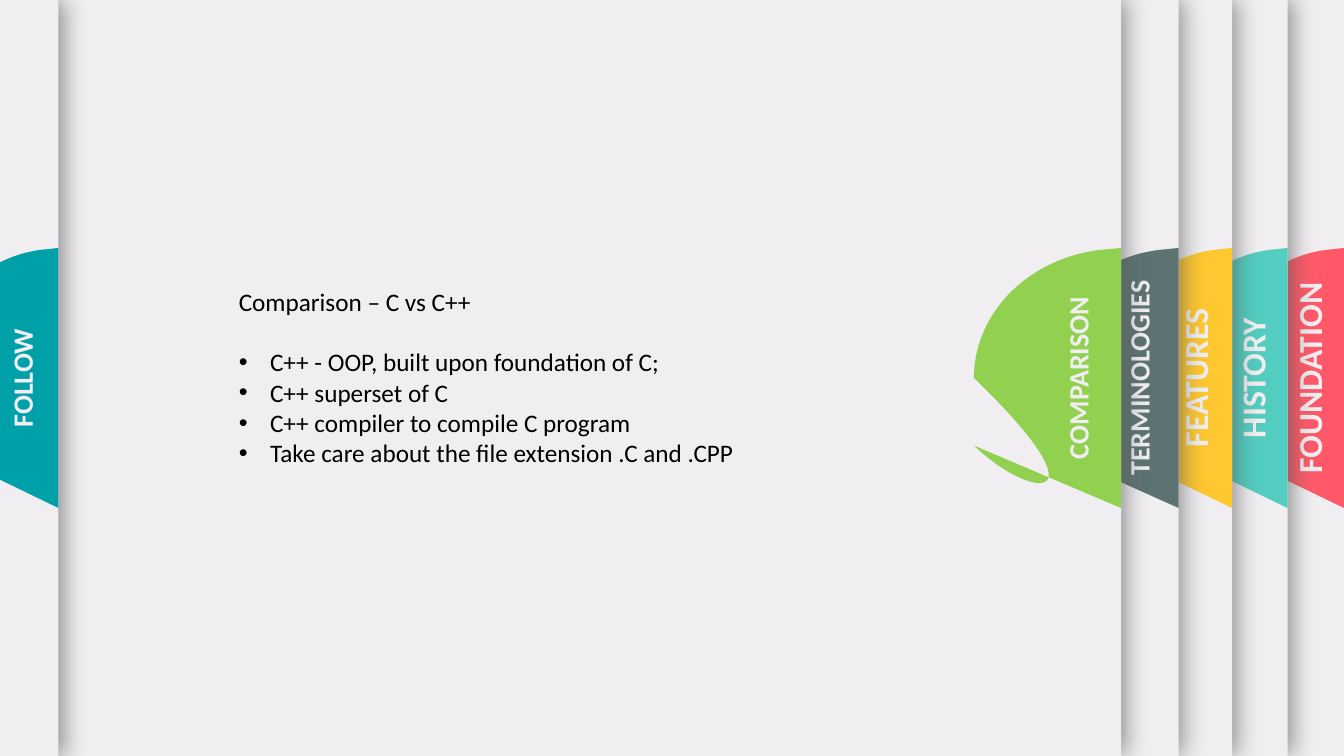
from lxml import etree
from pptx import Presentation
from pptx.dml.color import RGBColor
from pptx.enum.shapes import MSO_SHAPE as SHAPE
from pptx.enum.text import MSO_ANCHOR as ANCHOR, MSO_AUTO_SIZE as AUTO, PP_ALIGN as ALIGN
from pptx.oxml import parse_xml
from pptx.oxml.ns import nsdecls, qn
from pptx.util import Inches, Pt

COLORS = {"paper": "F0EEF0", "shadow": "595959", "text": "000000",
          "red": "FF5969", "aqua": "52CDC0", "yellow": "FFC730",
          "slate": "5D7373", "green": "92D050", "teal": "00A0A8"}
FONT = "Calibri"
SLIDE_W, SLIDE_H = 13.33, 7.5
TAB_H, LABEL_W = 2.58, 2.18

# label, colour, sheet left, sheet right, tab width, label inset, label height, size
SHEETS = [
    ("FOUNDATION", "red", -0.32, 13.33, 1.28, 0.35, 0.5, 24),
    ("HISTORY", "aqua", 0.25, 12.77, 1.28, 0.35, 0.5, 24),
    ("FEATURES", "yellow", 1.33, 12.22, 1.28, 0.37, 0.5, 24),
    ("TERMINOLOGIES", "slate", 0.42, 11.69, 1.38, 0.38, 0.47, 20),
    ("COMPARISON", "green", 0.27, 11.12, 1.46, 0.4, 0.5, 20),
    ("FOLLOW", "teal", -10.27, 0.58, 1.28, 0.36, 0.44, 20),
]
HEADING = "Comparison – C vs C++"
POINTS = ["C++ - OOP, built upon foundation of C;",
          "C++ superset of C",
          "C++ compiler to compile C program",
          "Take care about the file extension .C and .CPP"]


def rgb(name):
    return RGBColor.from_string(COLORS[name])


def paint(sp, color):
    sp.shadow.inherit = False
    sp.fill.solid()
    sp.fill.fore_color.rgb = rgb(color)
    sp.line.fill.background()


def style(p, size, color, bold=False):
    for r in p.runs:
        r.font.name, r.font.size, r.font.bold = FONT, Pt(size), bold
        r.font.color.rgb = rgb(color)


def cast_shadow(sp):
    """Give the sheet a soft shadow to its right."""
    effects = sp._element.spPr.find(qn("a:effectLst"))
    effects.append(parse_xml(
        f'<a:outerShdw {nsdecls("a")} blurRad="{Pt(17)}" dist="{Pt(3)}" dir="0" '
        f'algn="l" rotWithShape="0"><a:srgbClr val="{COLORS["shadow"]}">'
        '<a:alpha val="65000"/></a:srgbClr></a:outerShdw>'))


def add_tab(shapes, right, width, color):
    """D-shaped tab whose flat side is at right."""
    half = TAB_H / 2
    # fractions of the width from the right, and of half the height from the middle
    upper = [(0.09, -0.99), (0.6, -0.95), (1, -0.52)]
    lower = [(x, -y) for x, y in reversed(upper)]
    outline = [(0, -1), (0, 1), *lower, (1, 0), *reversed(lower[:0]), *reversed(upper)]
    start, *rest = [(Inches(right - x * width), Inches(SLIDE_H / 2 + y * half))
                    for x, y in outline]
    builder = shapes.build_freeform(*start)
    builder.add_line_segments(rest, close=True)
    tab = builder.convert_to_shape()
    paint(tab, color)

    # after the flat side and the first corner, each three points make one curve
    lines = list(tab._element.iter(qn("a:lnTo")))[2:8]
    for first in (0, 3):
        curve = etree.Element(qn("a:cubicBezTo"))
        lines[first].addprevious(curve)
        for line in lines[first:first + 3]:
            curve.append(line[0])
            line.getparent().remove(line)


def add_sheet(s, label, color, left, right, tab_w, inset, label_h, size):
    """Full-height sheet with a coloured tab and a vertical label at its right edge."""
    shapes = s.shapes.add_group_shape().shapes
    sheet = shapes.add_shape(SHAPE.RECTANGLE, Inches(left), 0,
                             Inches(right - left), Inches(SLIDE_H))
    paint(sheet, "paper")
    cast_shadow(sheet)
    add_tab(shapes, right, tab_w, color)

    box = shapes.add_textbox(Inches(right - inset - LABEL_W / 2),
                             Inches((SLIDE_H - label_h) / 2),
                             Inches(LABEL_W), Inches(label_h))
    box.rotation = 270
    tf = box.text_frame
    tf.word_wrap, tf.auto_size = True, AUTO.SHAPE_TO_FIT_TEXT
    p = tf.paragraphs[0]
    p.text, p.alignment = label, ALIGN.CENTER
    style(p, size, "paper", bold=True)


def add_bullet(p):
    pPr = p._p.get_or_add_pPr()
    pPr.set("marL", str(Inches(0.31)))
    pPr.set("indent", str(-Inches(0.31)))
    etree.SubElement(pPr, qn("a:buFont")).set("typeface", "Arial")
    etree.SubElement(pPr, qn("a:buChar")).set("char", "•")


def add_comparison(s, left, top, width, height):
    box = s.shapes.add_textbox(Inches(left), Inches(top), Inches(width), Inches(height))
    tf = box.text_frame
    tf.word_wrap, tf.auto_size = True, AUTO.SHAPE_TO_FIT_TEXT
    tf.vertical_anchor = ANCHOR.TOP
    tf.text = HEADING
    style(tf.paragraphs[0], 18, "text")
    for i, point in enumerate(POINTS):
        p = tf.add_paragraph()
        p.text = point
        if i == 0:
            p.space_before = Pt(21.6)
        add_bullet(p)
        style(p, 18, "text")


def main():
    prs = Presentation()
    prs.slide_width, prs.slide_height = Inches(SLIDE_W), Inches(SLIDE_H)
    s = prs.slides.add_slide(prs.slide_layouts[6])
    s.background.fill.solid()
    s.background.fill.fore_color.rgb = rgb("paper")
    for sheet in SHEETS:
        add_sheet(s, *sheet)
    add_comparison(s, 2.27, 2.79, 6.82, 1.92)
    prs.save("out.pptx")


if __name__ == "__main__":
    main()
